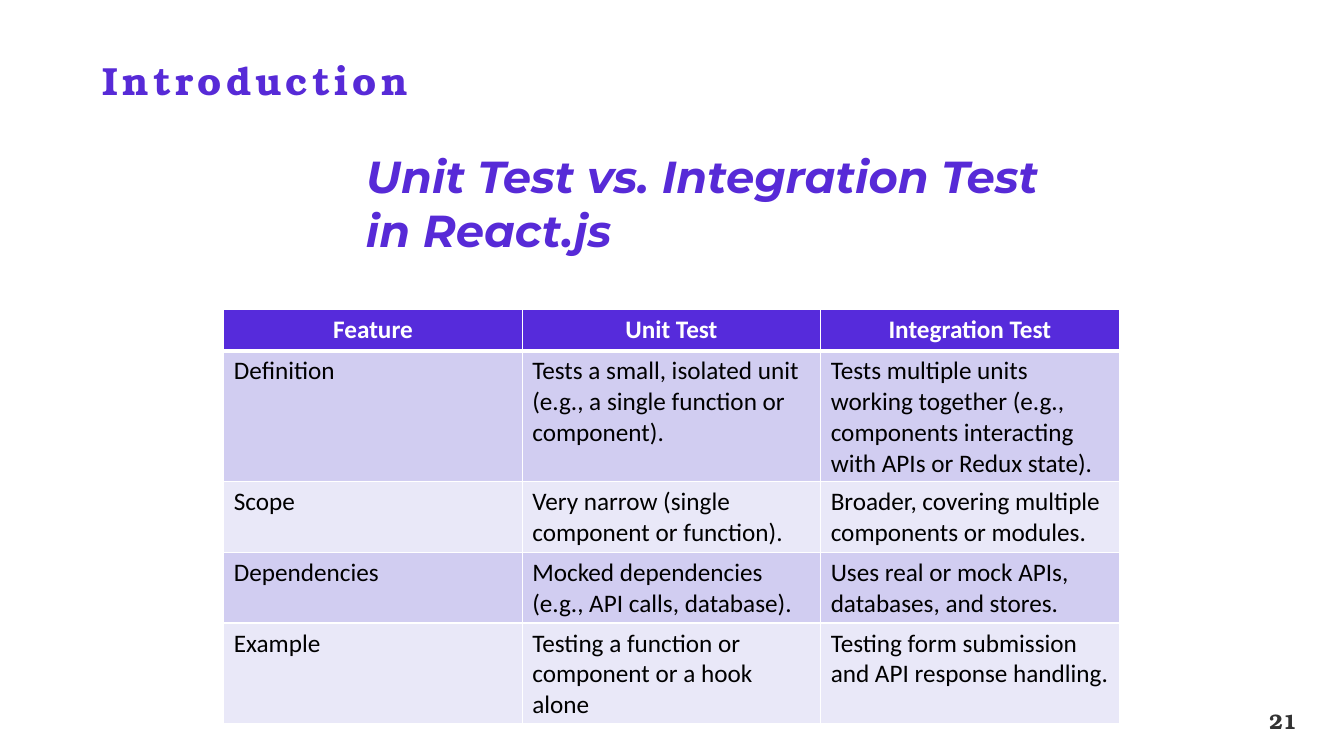
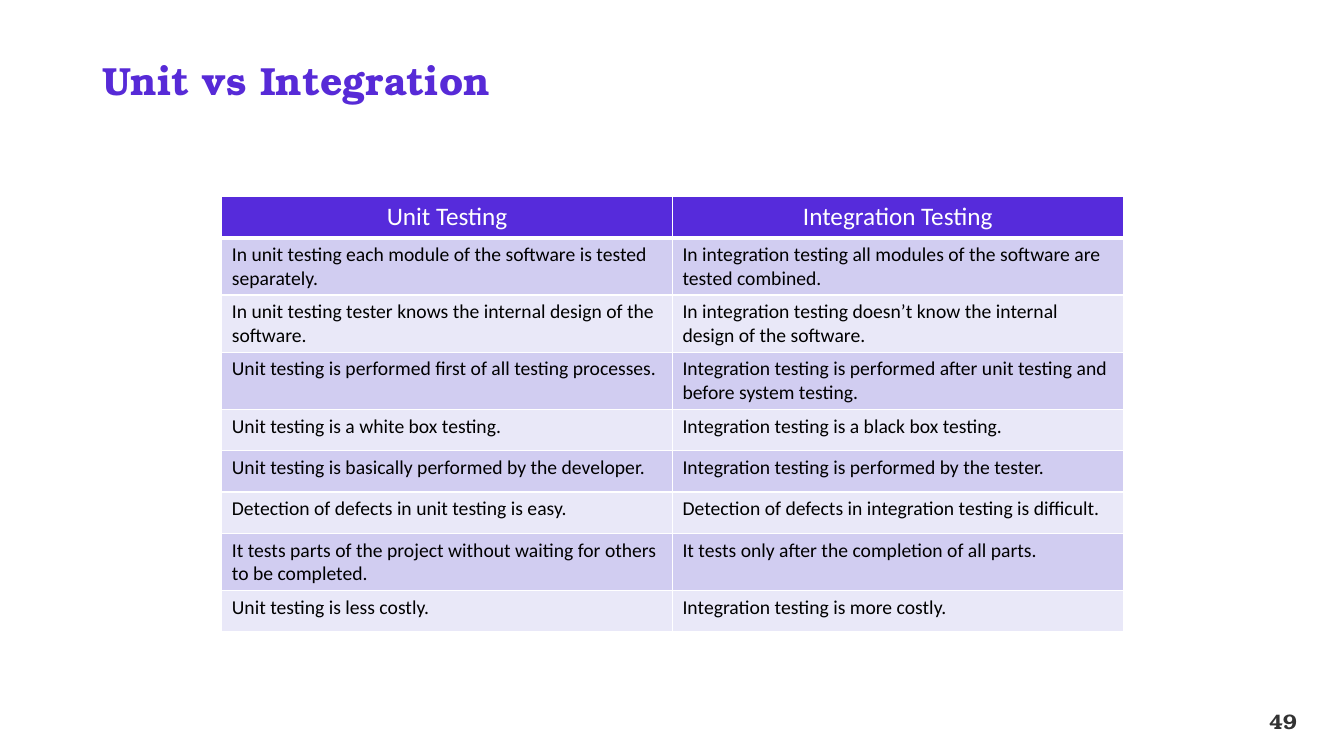
from dataclasses import dataclass

from lxml import etree
from pptx import Presentation
from pptx.dml.color import RGBColor
from pptx.enum.text import MSO_ANCHOR, PP_ALIGN
from pptx.oxml.ns import qn
from pptx.util import Emu, Pt

LEFT, CENTER, RIGHT = PP_ALIGN.LEFT, PP_ALIGN.CENTER, PP_ALIGN.RIGHT
TOP, MIDDLE = MSO_ANCHOR.TOP, MSO_ANCHOR.MIDDLE
BLANK = 6
ROW_H = 41


@dataclass(frozen=True)
class Theme:
    # Colours
    title: str = "572AD7"
    header: str = "562BDB"
    bands: tuple = ("D1CDF1", "E9E8F8")
    white: str = "FFFFFF"
    text: str = "000000"
    number: str = "333333"
    # Fonts
    serif: str = "TeX Gyre Bonum"
    display: str = "Montserrat"
    body: str = "Calibri"
    # Type sizes and line widths in points
    title_pt: int = 28
    heading_pt: int = 32
    table_pt: int = 18
    small_pt: int = 14
    number_pt: int = 15
    border_pt: int = 1
    header_border_pt: int = 3


T = Theme()

TESTS_BY_FEATURE = [
    ("Feature", "Unit Test", "Integration Test"),
    ("Definition",
     "Tests a small, isolated unit (e.g., a single function or component).",
     "Tests multiple units working together (e.g., components interacting "
     "with APIs or Redux state)."),
    ("Scope",
     "Very narrow (single component or function).",
     "Broader, covering multiple components or modules."),
    ("Dependencies",
     "Mocked dependencies (e.g., API calls, database).",
     "Uses real or mock APIs, databases, and stores."),
    ("Example",
     "Testing a function or component or a hook alone",
     "Testing form submission and API response handling."),
]

UNIT_VS_INTEGRATION = [
    ("Unit Testing", "Integration Testing"),
    ("In unit testing each module of the software is tested separately.",
     "In integration testing all modules of the software are tested combined."),
    ("In unit testing tester knows the internal design of the software.",
     "In integration testing doesn’t know the internal design of the software."),
    ("Unit testing is performed first of all testing processes.",
     "Integration testing is performed after unit testing and before system testing."),
    ("Unit testing is a white box testing.",
     "Integration testing is a black box testing."),
    ("Unit testing is basically performed by the developer.",
     "Integration testing is performed by the tester."),
    ("Detection of defects in unit testing is easy.",
     "Detection of defects in integration testing is difficult."),
    ("It tests parts of the project without waiting for others to be completed.",
     "It tests only after the completion of all parts."),
    ("Unit testing is less costly.",
     "Integration testing is more costly."),
]


def px(n):
    """One px is a hundredth of an inch."""
    return Emu(n * 9144)


def rgb(color):
    return RGBColor.from_string(color)


# Text
def write(tf, text, *, size, font, color, bold=False, italic=False,
          align=LEFT, line_spacing=None, tracking=0):
    p = tf.paragraphs[0]
    p.alignment = align
    if line_spacing:
        p.line_spacing = line_spacing
    r = p.add_run()
    r.text = text
    r.font.size, r.font.name = Pt(size), font
    r.font.bold, r.font.italic = bold, italic
    r.font.color.rgb = rgb(color)
    if tracking:
        r.font._element.set("spc", str(tracking * 100))


def add_text(s, text, box, *, anchor=TOP, inset_y=5, **fmt):
    tf = s.shapes.add_textbox(*map(px, box)).text_frame
    tf.word_wrap = True
    tf.vertical_anchor = anchor
    tf.margin_left = tf.margin_right = px(10)
    tf.margin_top = tf.margin_bottom = px(inset_y)
    write(tf, text, **fmt)


# Tables
def set_borders(cell, top, bottom):
    tc_pr = cell._tc.get_or_add_tcPr()
    sides = (("L", T.border_pt), ("R", T.border_pt), ("T", top), ("B", bottom))
    for i, (side, width) in enumerate(sides):
        ln = etree.Element(qn(f"a:ln{side}"), w=str(Pt(width)))
        fill = etree.SubElement(ln, qn("a:solidFill"))
        etree.SubElement(fill, qn("a:srgbClr"), val=T.white)
        tc_pr.insert(i, ln)


def add_table(s, rows, *, left, top, col_w, size, header_bold):
    n_cols = len(rows[0])
    frame = s.shapes.add_table(len(rows), n_cols, px(left), px(top),
                               px(col_w * n_cols), px(ROW_H * len(rows)))
    table = frame.table
    table.horz_banding = False
    for i, row in enumerate(rows):
        header = i == 0
        fill = T.header if header else T.bands[(i - 1) % 2]
        if header:
            fmt = dict(size=T.table_pt, color=T.white, bold=header_bold, align=CENTER)
        else:
            fmt = dict(size=size, color=T.text)
        for j, text in enumerate(row):
            cell = table.cell(i, j)
            cell.fill.solid()
            cell.fill.fore_color.rgb = rgb(fill)
            set_borders(cell,
                        top=T.header_border_pt if i == 1 else T.border_pt,
                        bottom=T.header_border_pt if header else T.border_pt)
            write(cell.text_frame, text, font=T.body, **fmt)


# Shared slide frame: title and page number
def add_slide(prs, title, number, tracking=0):
    s = prs.slides.add_slide(prs.slide_layouts[BLANK])
    add_text(s, str(number), (996, 695, 300, 40), anchor=MIDDLE, align=RIGHT,
             size=T.number_pt, font=T.serif, color=T.number, bold=True)
    add_text(s, title, (92, 62, 705, 40), anchor=MIDDLE, line_spacing=0.9,
             size=T.title_pt, font=T.serif, color=T.title, bold=True,
             tracking=tracking)
    return s


def main():
    prs = Presentation()
    prs.slide_width, prs.slide_height = px(1333), px(750)

    # Feature comparison
    s = add_slide(prs, "Introduction", 21, tracking=3)
    add_text(s, "Unit Test vs. Integration Test in React.js", (353, 138, 692, 129),
             inset_y=10, size=T.heading_pt, font=T.display, color=T.title,
             bold=True, italic=True)
    add_table(s, TESTS_BY_FEATURE, left=222, top=307, col_w=296,
              size=T.table_pt, header_bold=True)

    # Statement by statement
    s = add_slide(prs, "Unit vs Integration", 49)
    add_table(s, UNIT_VS_INTEGRATION, left=220, top=195, col_w=447,
              size=T.small_pt, header_bold=False)

    prs.save("out.pptx")


if __name__ == "__main__":
    main()
